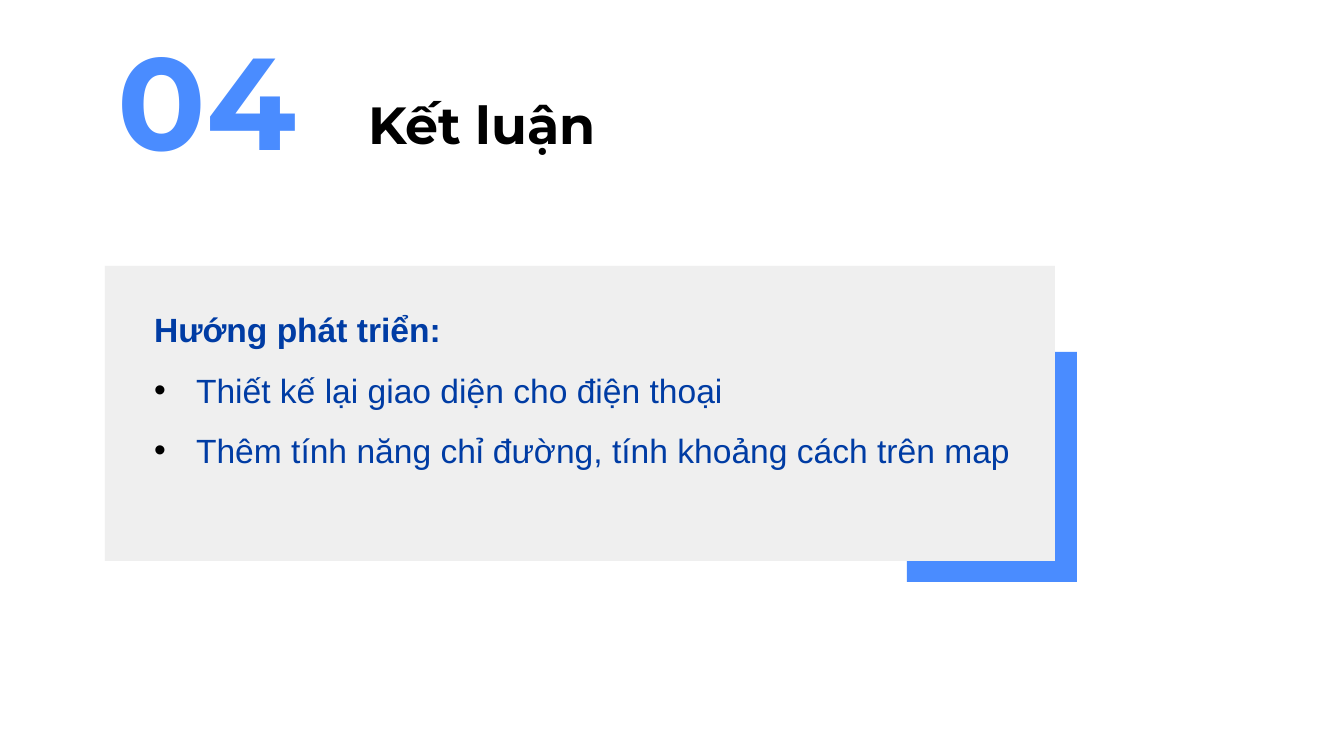
"""Build the conclusion slide with its section number and a card of future work."""
from lxml.etree import SubElement
from pptx import Presentation
from pptx.dml.color import RGBColor
from pptx.enum.shapes import MSO_SHAPE
from pptx.enum.text import MSO_ANCHOR, MSO_AUTO_SIZE, PP_ALIGN
from pptx.oxml.ns import qn
from pptx.util import Emu, Pt

COLORS = {"accent": "4A8CFF", "card": "EFEFEF", "text": "003CA4", "black": "000000"}
NUMBER = "04"
TITLE = "Kết luận"
HEADING = "Hướng phát triển:"
ITEMS = [
    "Thiết kế lại giao diện cho điện thoại",
    "Thêm tính năng chỉ đường, tính khoảng cách trên map",
]
PANELS = [("accent", (907, 352, 170, 230)), ("card", (105, 266, 950, 295))]
TITLE_BOX = (355, 79, 902, 71)
NUMBER_BOX = (105, 13, 218, 172)
BODY_BOX = (141, 282, 902, 250)
INDENT = 42


def px(n):
    return Emu(round(n * 914400 / 134.4))


def rgb(name):
    return RGBColor.from_string(COLORS[name])


def place(s, box):
    s.left, s.top, s.width, s.height = map(px, box)


def frame(s, inset):
    tf = s.text_frame
    tf.word_wrap = True
    tf.auto_size = MSO_AUTO_SIZE.NONE
    tf.vertical_anchor = MSO_ANCHOR.TOP
    tf.margin_left = tf.margin_right = px(13)
    tf.margin_top = tf.margin_bottom = px(inset)
    return tf


def write(p, text, font="Arial", size=18, color="text", bold=False, spacing=1.0, bullet=False):
    p.alignment = PP_ALIGN.LEFT
    p.line_spacing = spacing
    p.space_before = p.space_after = Pt(0)
    r = p.add_run()
    r.text = text
    r.font.name, r.font.size, r.font.bold = font, Pt(size), bold
    r.font.color.rgb = rgb(color)
    pPr = p._p.get_or_add_pPr()
    indent = px(INDENT) if bullet else 0
    pPr.set("marL", str(indent))
    pPr.set("indent", str(-indent))
    if bullet:
        clr = SubElement(pPr, qn("a:buClr"))
        SubElement(clr, qn("a:srgbClr"), val=COLORS["black"])
        SubElement(pPr, qn("a:buFont"), typeface="Arial")
        SubElement(pPr, qn("a:buChar"), char="•")
    else:
        SubElement(pPr, qn("a:buNone"))


def main():
    prs = Presentation()
    prs.slide_width, prs.slide_height = px(1344), px(756)
    slide = prs.slides.add_slide(prs.slide_layouts[1])
    title, body = slide.shapes.title, slide.placeholders[1]

    for color, box in PANELS:
        s = slide.shapes.add_shape(MSO_SHAPE.RECTANGLE, *map(px, box))
        s.shadow.inherit = False
        s.fill.solid()
        s.fill.fore_color.rgb = rgb(color)
        s.line.fill.background()

    for s, box in ((title, TITLE_BOX), (body, BODY_BOX)):
        place(s, box)
        slide.shapes._spTree.append(s._element)

    write(frame(title, 13).paragraphs[0], TITLE,
          font="Montserrat", size=28, color="black", bold=True)

    number = slide.shapes.add_textbox(*map(px, NUMBER_BOX))
    write(frame(number, 7).paragraphs[0], NUMBER,
          font="Montserrat", size=70, color="accent", bold=True)

    tf = frame(body, 7)
    write(tf.paragraphs[0], HEADING, bold=True, spacing=1.5)
    for item in ITEMS:
        write(tf.add_paragraph(), item, spacing=1.5, bullet=True)

    prs.save("out.pptx")


if __name__ == "__main__":
    main()
